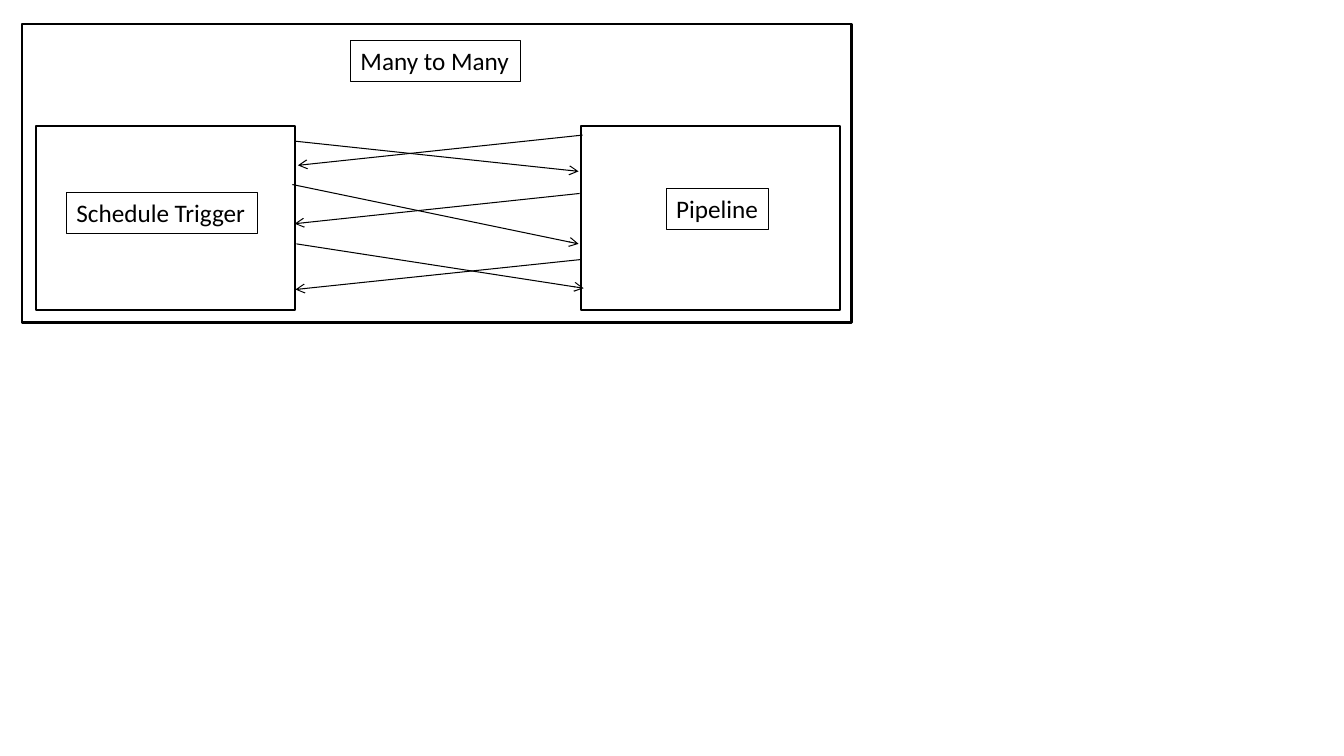
"""Build a slide showing a many-to-many link between schedule triggers and pipelines."""
from lxml import etree
from pptx import Presentation
from pptx.dml.color import RGBColor
from pptx.enum.shapes import MSO_CONNECTOR, MSO_SHAPE
from pptx.enum.text import MSO_ANCHOR, MSO_AUTO_SIZE, PP_ALIGN
from pptx.oxml.ns import qn
from pptx.util import Pt

RECT = MSO_SHAPE.RECTANGLE
STRAIGHT = MSO_CONNECTOR.STRAIGHT
LEFT = PP_ALIGN.LEFT
TOP = MSO_ANCHOR.TOP
FIXED = MSO_AUTO_SIZE.NONE
COLORS = {"ink": "000000"}
INK = RGBColor.from_string(COLORS["ink"])


def set_line(s, width):
    s.line.color.rgb = INK
    s.line.width = Pt(width)


def format_label(s, text, left, top, width):
    s.left, s.top, s.width, s.height = Pt(left), Pt(top), Pt(width), Pt(29.1)
    set_line(s, 0.75)
    tf = s.text_frame
    tf.text = text
    tf.word_wrap = False
    tf.auto_size = FIXED
    tf.vertical_anchor = TOP
    tf.margin_left = tf.margin_right = Pt(7.2)
    tf.margin_top = tf.margin_bottom = Pt(3.6)
    p = tf.paragraphs[0]
    p.alignment = LEFT
    p.line_spacing = 1.0
    p.space_before = Pt(0)
    p.font.size = Pt(18)
    p.font.name = "Calibri"
    p.font.color.rgb = INK


prs = Presentation()
prs.slide_width, prs.slide_height = Pt(960), Pt(540)
slide = prs.slides.add_slide(prs.slide_layouts[5])
shapes = slide.shapes

format_label(shapes.title, "Many to Many", 250.3, 28.8, 121.7)
for text, left, top, width in [
    ("Schedule Trigger", 47.5, 137.6, 136.8),
    ("Pipeline", 475.9, 134.6, 73.4),
]:
    format_label(shapes.add_textbox(0, 0, 0, 0), text, left, top, width)

for left, top, width, height in [
    (25.5, 90, 185, 131.5),
    (414.9, 90, 185, 131.5),
    (15.8, 17.2, 592.5, 213.2),
]:
    s = shapes.add_shape(RECT, Pt(left), Pt(top), Pt(width), Pt(height))
    s.fill.background()
    s.shadow.inherit = False
    set_line(s, 1.5)

for x1, y1, x2, y2 in [
    (210.5, 100.8, 413.3, 122.4),
    (208.8, 131.8, 413.3, 174.2),
    (211.7, 174.2, 416.9, 205.9),
    (416.2, 96.5, 212.8, 118.1),
    (414, 138.2, 210.5, 159.8),
    (414.9, 185.4, 211, 206.8),
]:
    arrow = shapes.add_connector(STRAIGHT, Pt(x1), Pt(y1), Pt(x2), Pt(y2))
    set_line(arrow, 0.75)
    etree.SubElement(arrow.line._get_or_add_ln(), qn("a:tailEnd"), type="arrow")
    etree.SubElement(arrow._element.spPr, qn("a:effectLst"))

prs.save("out.pptx")
